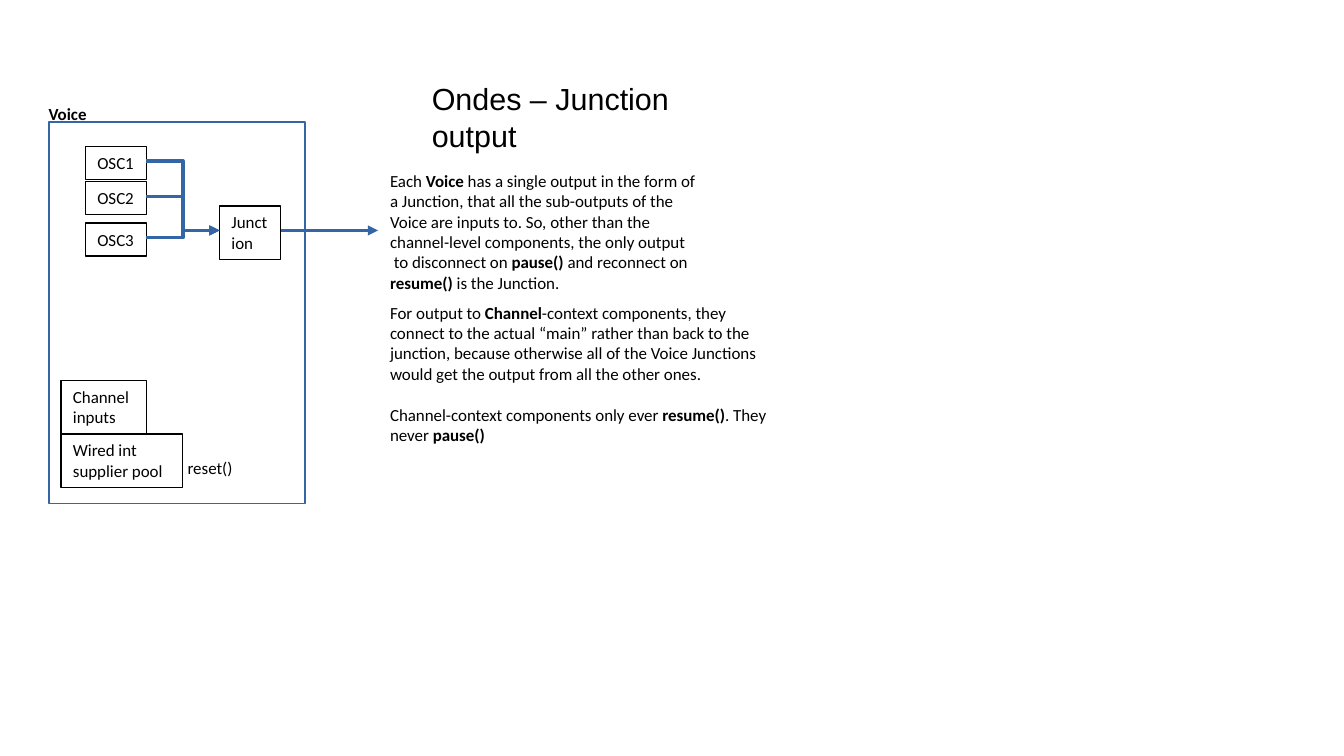
from lxml.etree import SubElement
from pptx import Presentation
from pptx.dml.color import RGBColor
from pptx.enum.shapes import MSO_CONNECTOR as Link, MSO_SHAPE as Shape
from pptx.enum.text import MSO_ANCHOR as Anchor, MSO_AUTO_SIZE as Fit, PP_ALIGN as Align
from pptx.oxml.ns import qn
from pptx.util import Inches, Pt

CELL = 0.1
BLACK, BLUE = "000000", "3465A4"
OSC_COLUMN, OSC_WIDTH, OSC_HEIGHT = 7, 5, 2.7
OSC_ROWS = {"OSC1": 12, "OSC2": 14.9, "OSC3": 18.3}
JUNCTION_COLUMN, JUNCTION_WIDTH, SIGNAL_ROW = 18, 5, 18.9
TEXT_COLUMN = 31


def grid(*cells):
    return [Inches(cell * CELL) for cell in cells]


def color(value):
    return RGBColor.from_string(value)


def write(frame, *texts, size=10, font="Calibri", gap=0):
    frame.word_wrap = True
    frame.auto_size = Fit.NONE
    frame.vertical_anchor = Anchor.TOP
    for index, text in enumerate(texts):
        para = frame.add_paragraph() if index else frame.paragraphs[0]
        para.alignment = Align.LEFT
        para.space_before = Pt(gap if index else 0)
        for position, piece in enumerate(text.split("*")):
            if piece:
                span = para.add_run()
                span.text = piece
                span.font.name, span.font.size = font, Pt(size)
                span.font.bold = position % 2 == 1
                span.font.color.rgb = color(BLACK)


def add_title(page, text, cells):
    title = page.shapes.title
    title.left, title.top, title.width, title.height = grid(*cells)
    write(title.text_frame, text, size=18, font="Arial")


def add_text(page, cells, *texts, **style):
    box = page.shapes.add_textbox(*grid(*cells))
    write(box.text_frame, *texts, **style)


def add_box(page, cells, text="", line=BLACK, weight=0):
    box = page.shapes.add_shape(Shape.RECTANGLE, *grid(*cells))
    box.shadow.inherit = False
    box.fill.background()
    box.line.color.rgb = color(line)
    box.line.width = Pt(weight)
    write(box.text_frame, text)


def add_arrow(page, kind, start, end):
    arrow = page.shapes.add_connector(kind, *grid(*start, *end))
    arrow.line.color.rgb = color(BLUE)
    arrow.line.width = Pt(0)
    SubElement(arrow.line._get_or_add_ln(), qn("a:tailEnd"), type="triangle")
    SubElement(arrow._element.spPr, qn("a:effectLst"))


def add_voice(page):
    add_text(page, (3, 8, 8, 2.7), "*Voice*")
    add_box(page, (4, 10, 21, 31.3), line=BLUE, weight=1)
    add_box(page, (5, 31.2, 7, 4.4), "Channel inputs")
    add_box(page, (5, 35.6, 10, 4.4), "Wired int supplier pool")
    add_text(page, (14.4, 37, 7.6, 2.7), "reset()")
    add_box(page, (JUNCTION_COLUMN, 16.9, JUNCTION_WIDTH, 4.4), "Junction")
    for name, row in OSC_ROWS.items():
        add_box(page, (OSC_COLUMN, row, OSC_WIDTH, OSC_HEIGHT), name)
        add_arrow(page, Link.ELBOW,
                  (OSC_COLUMN + OSC_WIDTH, row + 1.2),
                  (JUNCTION_COLUMN, SIGNAL_ROW))
    add_arrow(page, Link.STRAIGHT,
              (JUNCTION_COLUMN + JUNCTION_WIDTH, SIGNAL_ROW),
              (TEXT_COLUMN, SIGNAL_ROW))


def add_notes_on_output(page):
    add_text(
        page, (TEXT_COLUMN, 13.5, 27, 11.1),
        "Each *Voice* has a single output in the form of a Junction, that all the "
        "sub-outputs of the Voice are inputs to. So, other than the channel-level "
        "components, the only output",
        " to disconnect on *pause() *and reconnect on *resume()* is the Junction.")
    add_text(
        page, (TEXT_COLUMN, 24.3, 33, 20.3),
        "For output to *Channel*-context components, they connect to the actual "
        "“main” rather than back to the junction, because otherwise all of the "
        "Voice Junctions would get the output from all the other ones.",
        "Channel-context components only ever *resume()*. They never *pause()*",
        gap=12.2)


def main():
    deck = Presentation()
    deck.slide_width, deck.slide_height = grid(110.2, 62)
    page = deck.slides.add_slide(deck.slide_layouts[5])
    add_title(page, "Ondes – Junction output", (34.4, 6.1, 24.6, 7.8))
    add_voice(page)
    add_notes_on_output(page)
    deck.save("out.pptx")


if __name__ == "__main__":
    main()
